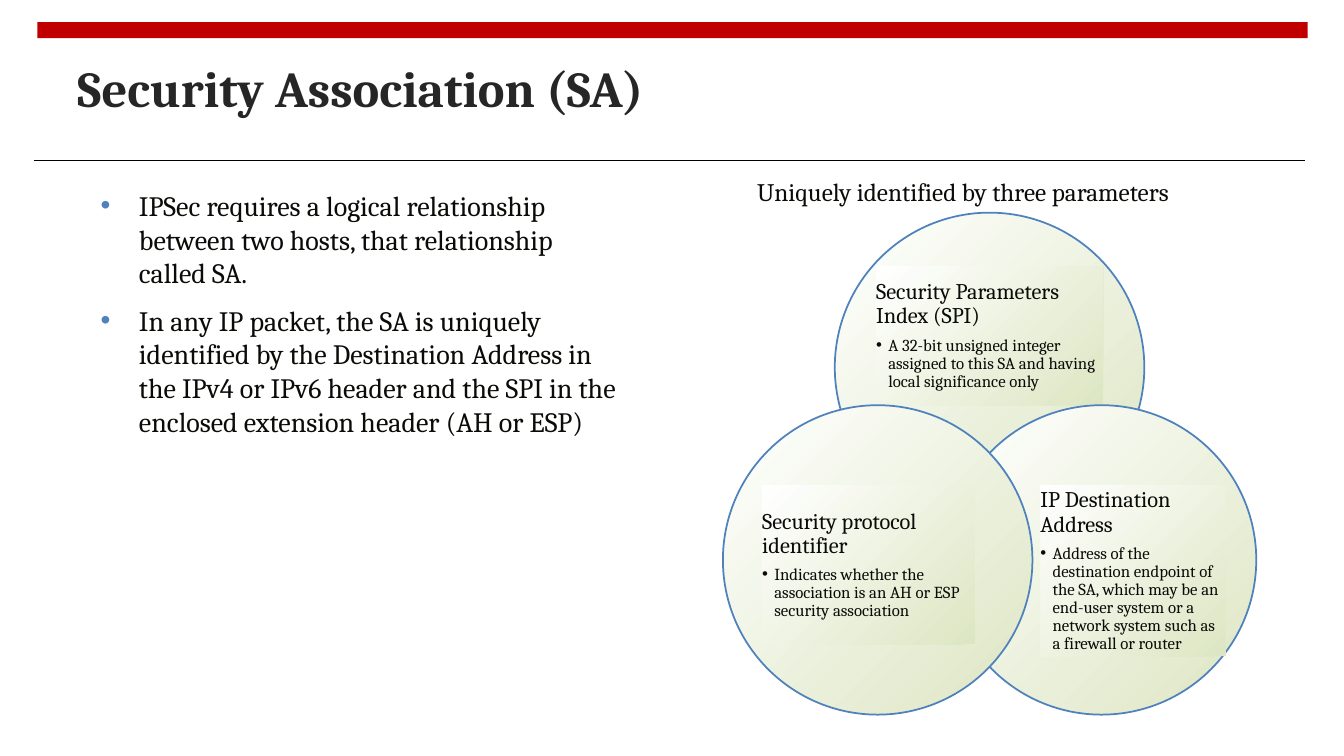
from dataclasses import dataclass

from lxml.etree import SubElement
from pptx import Presentation
from pptx.dml.color import RGBColor
from pptx.enum.shapes import MSO_CONNECTOR, MSO_SHAPE
from pptx.enum.text import MSO_ANCHOR, PP_ALIGN
from pptx.oxml.ns import qn
from pptx.util import Inches, Pt


@dataclass(frozen=True)
class Theme:
    font: str = "Cambria"
    ink: str = "0B0B08"
    heading: str = "262626"
    bar: str = "C00000"
    rule: str = "000000"
    accent: str = "4F81BD"
    glow: str = "FFFFFF"
    shade: str = "DDE6C3"
    title_size: float = 36
    body_size: float = 20
    caption_size: float = 18
    name_size: float = 16
    detail_size: float = 12


@dataclass(frozen=True)
class Box:
    left: float
    top: float
    width: float
    height: float

    def lengths(self) -> list:
        return [Inches(v) for v in (self.left, self.top, self.width, self.height)]


@dataclass(frozen=True)
class Parameter:
    name: str
    detail: str
    circle_left: float
    circle_top: float
    label: Box


THEME = Theme()
CIRCLE_SIZE = 3.07

POINTS = [
    "IPSec requires a logical relationship between two hosts, that relationship called SA.",
    "In any IP packet, the SA is uniquely identified by the Destination Address in the IPv4 "
    "or IPv6 header and the SPI in the enclosed extension header (AH or ESP)",
]

# Listed from back to front
PARAMETERS = [
    Parameter("Security Parameters Index (SPI)",
              "A 32-bit unsigned integer assigned to this SA and having local significance only",
              8.28, 2.11, Box(8.69, 2.64, 2.25, 1.38)),
    Parameter("IP Destination Address",
              "Address of the destination endpoint of the SA, which may be an end-user system "
              "or a network system such as a firewall or router",
              9.39, 4.02, Box(10.32, 4.82, 1.84, 1.69)),
    Parameter("Security protocol identifier",
              "Indicates whether the association is an AH or ESP security association",
              7.17, 4.02, Box(7.56, 4.82, 2.11, 1.57)),
]


def rgb(value: str) -> RGBColor:
    return RGBColor.from_string(value)


def style(paragraph, size: float, color: str = THEME.ink, bold: bool = False) -> None:
    paragraph.alignment = PP_ALIGN.LEFT
    font = paragraph.font
    font.name, font.size, font.bold = THEME.font, Pt(size), bold
    font.color.rgb = rgb(color)


def add_bullet(paragraph, indent: float, color: str) -> None:
    properties = paragraph._p.get_or_add_pPr()
    properties.set("marL", str(Inches(indent)))
    properties.set("indent", str(-Inches(indent)))
    SubElement(SubElement(properties, qn("a:buClr")), qn("a:srgbClr"), val=color)
    SubElement(properties, qn("a:buFont"), typeface="Arial")
    SubElement(properties, qn("a:buChar"), char="•")


def add_text(slide, box: Box):
    frame = slide.shapes.add_textbox(*box.lengths()).text_frame
    frame.word_wrap = True
    return frame


def add_shape(slide, kind: MSO_SHAPE, box: Box):
    shape = slide.shapes.add_shape(kind, *box.lengths())
    shape.shadow.inherit = False
    shape.line.fill.background()
    return shape


def fill_glow(shape) -> None:
    """Radial gradient that spreads from the top left corner."""
    shape.fill.gradient()
    for stop, color in zip(shape.fill.gradient_stops, (THEME.glow, THEME.shade)):
        stop.color.rgb = rgb(color)
    gradient = shape._element.spPr.find(qn("a:gradFill"))
    gradient.remove(gradient.find(qn("a:lin")))
    radial = SubElement(gradient, qn("a:path"), {"path": "circle"})
    SubElement(radial, qn("a:fillToRect"), r="100000", b="100000")


def add_parameter(slide, parameter: Parameter) -> None:
    circle = add_shape(slide, MSO_SHAPE.OVAL, Box(
        parameter.circle_left, parameter.circle_top, CIRCLE_SIZE, CIRCLE_SIZE))
    fill_glow(circle)
    circle.line.color.rgb = rgb(THEME.accent)
    circle.line.width = Pt(1.25)

    label = add_shape(slide, MSO_SHAPE.RECTANGLE, parameter.label)
    fill_glow(label)
    frame = label.text_frame
    frame.word_wrap = True
    frame.vertical_anchor = MSO_ANCHOR.MIDDLE
    frame.margin_left = frame.margin_right = frame.margin_top = frame.margin_bottom = 0

    name, detail = frame.paragraphs[0], frame.add_paragraph()
    name.text, detail.text = parameter.name, parameter.detail
    name.line_spacing = detail.line_spacing = 0.9
    detail.level = 1
    detail.space_before = Pt(5.6)
    add_bullet(detail, 0.12, THEME.ink)
    style(name, THEME.name_size)
    style(detail, THEME.detail_size)


def main() -> None:
    deck = Presentation()
    deck.slide_width, deck.slide_height = Inches(13.33), Inches(7.5)
    slide = deck.slides.add_slide(deck.slide_layouts[6])

    # Red bar and rule around the title
    bar = add_shape(slide, MSO_SHAPE.RECTANGLE, Box(0.37, 0.22, 12.6, 0.16))
    bar.fill.solid()
    bar.fill.fore_color.rgb = rgb(THEME.bar)
    rule = slide.shapes.add_connector(
        MSO_CONNECTOR.STRAIGHT, Inches(0.34), Inches(1.59), Inches(12.94), Inches(1.59))
    rule.line.color.rgb = rgb(THEME.rule)
    rule.line.width = Pt(0.6)
    SubElement(rule._element.spPr, qn("a:effectLst"))

    # Title
    title = add_text(slide, Box(0.67, 0.52, 8.87, 1.03)).paragraphs[0]
    title.text = "Security Association (SA)"
    style(title, THEME.title_size, THEME.heading, bold=True)

    # Explanation on the left
    body = add_text(slide, Box(0.9, 1.82, 5.4, 4.68))
    for index, text in enumerate(POINTS):
        point = body.add_paragraph() if index else body.paragraphs[0]
        point.text = text
        if index:
            point.space_before = Pt(10)
        add_bullet(point, 0.38, THEME.accent)
        style(point, THEME.body_size)

    # Three overlapping parameters on the right
    caption = add_text(slide, Box(7.41, 1.7, 5.05, 0.4)).paragraphs[0]
    caption.text = "Uniquely identified by three parameters"
    style(caption, THEME.caption_size)
    for parameter in PARAMETERS:
        add_parameter(slide, parameter)

    deck.save("out.pptx")


if __name__ == "__main__":
    main()
